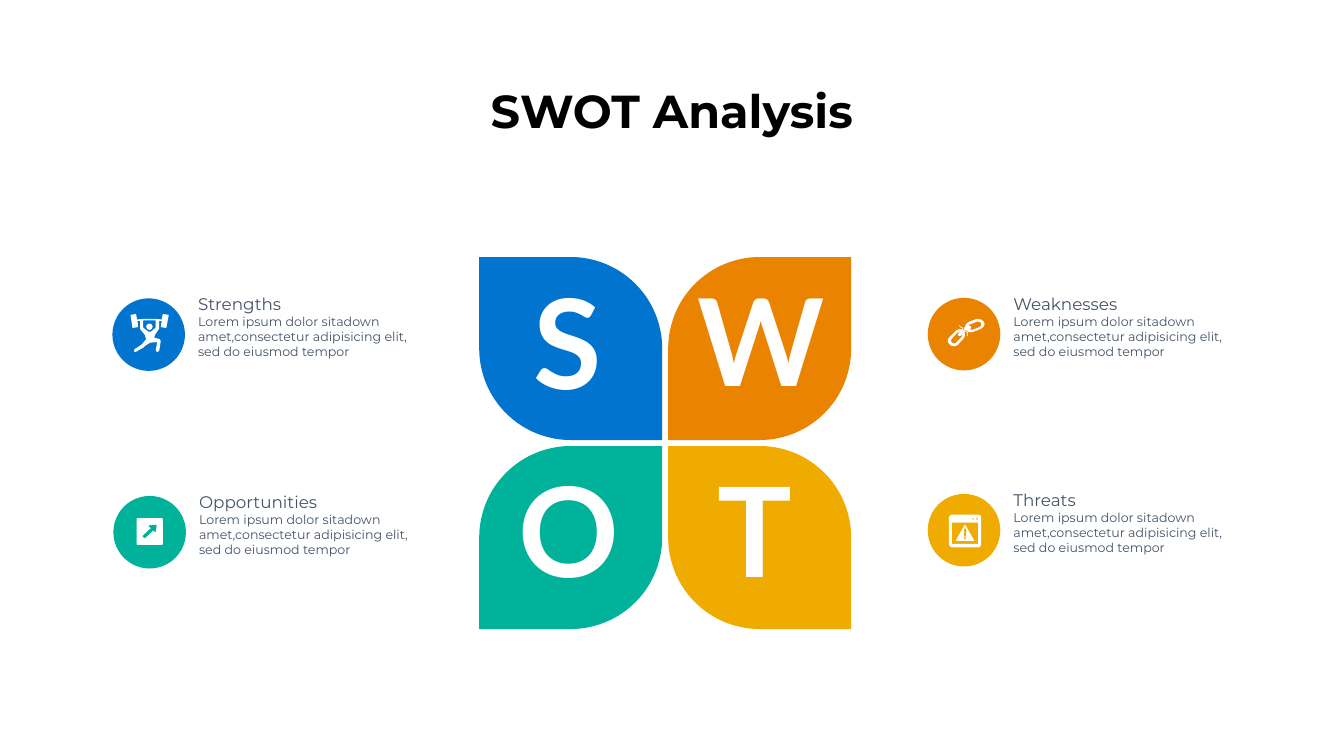
from pptx import Presentation
from pptx.dml.color import RGBColor
from pptx.enum.shapes import MSO_SHAPE
from pptx.enum.text import MSO_ANCHOR, PP_ALIGN
from pptx.util import Pt

OVAL, LEAF = MSO_SHAPE.OVAL, MSO_SHAPE.ROUND_2_DIAG_RECTANGLE
CENTER, LEFT = PP_ALIGN.CENTER, PP_ALIGN.LEFT
MIDDLE, TOP = MSO_ANCHOR.MIDDLE, MSO_ANCHOR.TOP
BLUE = RGBColor(0x00, 0x74, 0xCF)
ORANGE = RGBColor(0xE9, 0x83, 0x00)
GREEN = RGBColor(0x00, 0xB2, 0x99)
YELLOW = RGBColor(0xF0, 0xAB, 0x00)
SLATE = RGBColor(0x44, 0x54, 0x69)
BLACK = RGBColor(0, 0, 0)
WHITE = RGBColor(255, 255, 255)

TITLE = "SWOT Analysis"
BODY = "Lorem ipsum dolor sitadown amet,consectetur adipisicing elit, sed do eiusmod tempor"

# Icon outlines: closed contours in units of ICON_UNIT; inner contours are holes
ICON_UNIT = Pt(0.72)
WEIGHTLIFTER = [
    [(38, 19), (42, 21), (44, 25), (42, 30), (38, 32), (33, 30), (31, 25), (33, 21)],
    [(76, 2), (71, 28), (60, 26), (62, 14), (57, 14), (57, 29), (49, 41), (47, 47),
     (58, 50), (60, 54), (57, 73), (53, 76), (50, 72), (53, 56), (39, 57), (28, 64),
     (27, 66), (11, 75), (9, 76), (7, 74), (8, 70), (22, 61), (31, 50), (28, 41),
     (19, 30), (19, 14), (14, 14), (15, 26), (4, 28), (0, 2), (11, 0), (13, 11),
     (24, 10), (52, 10), (62, 11), (64, 0)],
    [(50, 13), (25, 13), (25, 27), (35, 35), (41, 35), (50, 27)],
]
BROKEN_CHAIN = [
    [(34, 26), (32, 25), (29, 22), (22, 22), (16, 25), (4, 37), (0, 42), (0, 48),
     (4, 53), (9, 56), (15, 56), (20, 53), (31, 41), (34, 35), (33, 28)],
    [(28, 37), (16, 49), (12, 51), (8, 49), (6, 45), (8, 41), (19, 29), (24, 28),
     (21, 31), (20, 33), (21, 35), (23, 36), (26, 35), (29, 32)],
    [(73, 12), (71, 7), (66, 3), (57, 2), (41, 8), (36, 12), (34, 18), (32, 19),
     (32, 23), (34, 25), (37, 25), (42, 28), (49, 28), (65, 22), (71, 17)],
    [(63, 18), (47, 24), (42, 22), (45, 22), (46, 17), (42, 15), (40, 16), (43, 13),
     (59, 7), (64, 8), (66, 11), (66, 15)],
    [(36, 26), (40, 29), (39, 36), (37, 36), (39, 30), (34, 27)],
    [(25, 19), (22, 14), (23, 14), (26, 18), (29, 18), (30, 21), (29, 22), (28, 19)],
]
ARROW_TILE = [
    [(1, 0), (51, 0), (52, 2), (52, 51), (51, 53), (1, 53), (0, 51), (0, 2)],
    [(38, 28), (37, 28), (33, 25), (17, 40), (16, 40), (12, 37), (12, 35), (28, 20),
     (24, 16), (25, 14), (39, 13), (40, 14)],
]
WARNING_WINDOW = [
    [(6, 0), (59, 0), (63, 2), (64, 6), (64, 59), (63, 63), (59, 65), (6, 65),
     (2, 63), (0, 59), (0, 6), (2, 2)],
    [(56, 7), (58, 8), (56, 11), (53, 8)],
    [(48, 7), (50, 8), (48, 11), (46, 8)],
    [(58, 58), (6, 58), (6, 16), (58, 16)],
    [(15, 52), (50, 52), (50, 51), (33, 21), (31, 21), (14, 51)],
    [(34, 48), (33, 49), (31, 49), (30, 48), (30, 46), (31, 45), (33, 45), (34, 46)],
    [(30, 28), (34, 28), (35, 29), (34, 43), (33, 44), (31, 44), (30, 43)],
]

# Letter, letter size, letter box left and top, heading, colour,
# badge left and top, text width, icon, icon offset in the badge
TOPICS = [
    ("S", 178, 698.4, 371.5, "Strengths", BLUE, 160.6, 426.2, 307.4, WEIGHTLIFTER, (25.9, 22.3)),
    ("W", 173, 974.9, 371.5, "Weaknesses", ORANGE, 1325.5, 425.5, 315.4, BROKEN_CHAIN, (28.8, 28.8)),
    ("O", 178, 700.6, 640.1, "Opportunities", GREEN, 162, 708.5, 306, ARROW_TILE, (33.1, 31.7)),
    ("T", 178, 966.2, 640.1, "Threats", YELLOW, 1325.5, 705.6, 315.4, WARNING_WINDOW, (30.2, 29.5)),
]

PETAL_LEFT, PETAL_TOP, PETAL_SIZE, PETAL_PITCH = 684.7, 367.2, 261.4, 270
BADGE_SIZE = 103.7
TEXT_DX, TEXT_DY = 122.4, -15.8

presentation = Presentation()
presentation.slide_width, presentation.slide_height = Pt(1920.24), Pt(1080)
slide = presentation.slides.add_slide(presentation.slide_layouts[6])
shapes = slide.shapes


def paint(shape, color):
    shape.fill.solid()
    shape.fill.fore_color.rgb = color
    shape.line.fill.background()
    shape.shadow.inherit = False


def add_text(box, lines, font_name, color, insets, align=LEFT, anchor=TOP, bold=False):
    frame = shapes.add_textbox(*map(Pt, box)).text_frame
    frame.word_wrap = True
    frame.vertical_anchor = anchor
    (frame.margin_left, frame.margin_top,
     frame.margin_right, frame.margin_bottom) = map(Pt, insets)
    for i, (text, size) in enumerate(lines):
        paragraph = frame.add_paragraph() if i else frame.paragraphs[0]
        paragraph.text = text
        paragraph.alignment = align
        paragraph.font.name = font_name
        paragraph.font.size = Pt(size)
        paragraph.font.bold = bold
        paragraph.font.color.rgb = color
    return frame


def add_icon(contours, left, top):
    builder = shapes.build_freeform(*contours[0][0], scale=ICON_UNIT)
    for i, contour in enumerate(contours):
        if i:
            builder.move_to(*contour[0])
        builder.add_line_segments(contour[1:], close=True)
    paint(builder.convert_to_shape(Pt(left), Pt(top)), WHITE)


for i, (letter, letter_size, letter_left, letter_top, heading, color,
        badge_left, badge_top, text_width, icon, (icon_dx, icon_dy)) in enumerate(TOPICS):
    row, column = divmod(i, 2)

    # Petal: its sharp corners lie on the diagonal through the centre
    petal = shapes.add_shape(LEAF, Pt(PETAL_LEFT + column * PETAL_PITCH),
                             Pt(PETAL_TOP + row * PETAL_PITCH), Pt(PETAL_SIZE), Pt(PETAL_SIZE))
    on_main_diagonal = row == column
    petal.adjustments[0] = 0 if on_main_diagonal else 0.5
    petal.adjustments[1] = 0.5 if on_main_diagonal else 0
    paint(petal, color)
    add_text((letter_left, letter_top, 225.4, 230.4), [(letter, letter_size)], "Lato", WHITE,
             (14.4, 7.2, 14.4, 7.2), CENTER, bold=True)

    # Badge with icon, heading and body
    add_text((badge_left + TEXT_DX, badge_top + TEXT_DY, text_width, 104.4),
             [(heading, 24), (BODY, 18)], "Montserrat", SLATE, (0, 9.4, 0, 0))
    badge = shapes.add_shape(OVAL, Pt(badge_left), Pt(badge_top), Pt(BADGE_SIZE), Pt(BADGE_SIZE))
    paint(badge, color)
    add_icon(icon, badge_left + icon_dx, badge_top + icon_dy)

# Title
title = add_text((131.8, 57.6, 1656, 208.8), [(TITLE, 66)], "Montserrat", BLACK,
                 (7.2, 3.6, 7.2, 3.6), CENTER, MIDDLE, bold=True)
title.paragraphs[0].line_spacing = 0.9

presentation.save("out.pptx")
